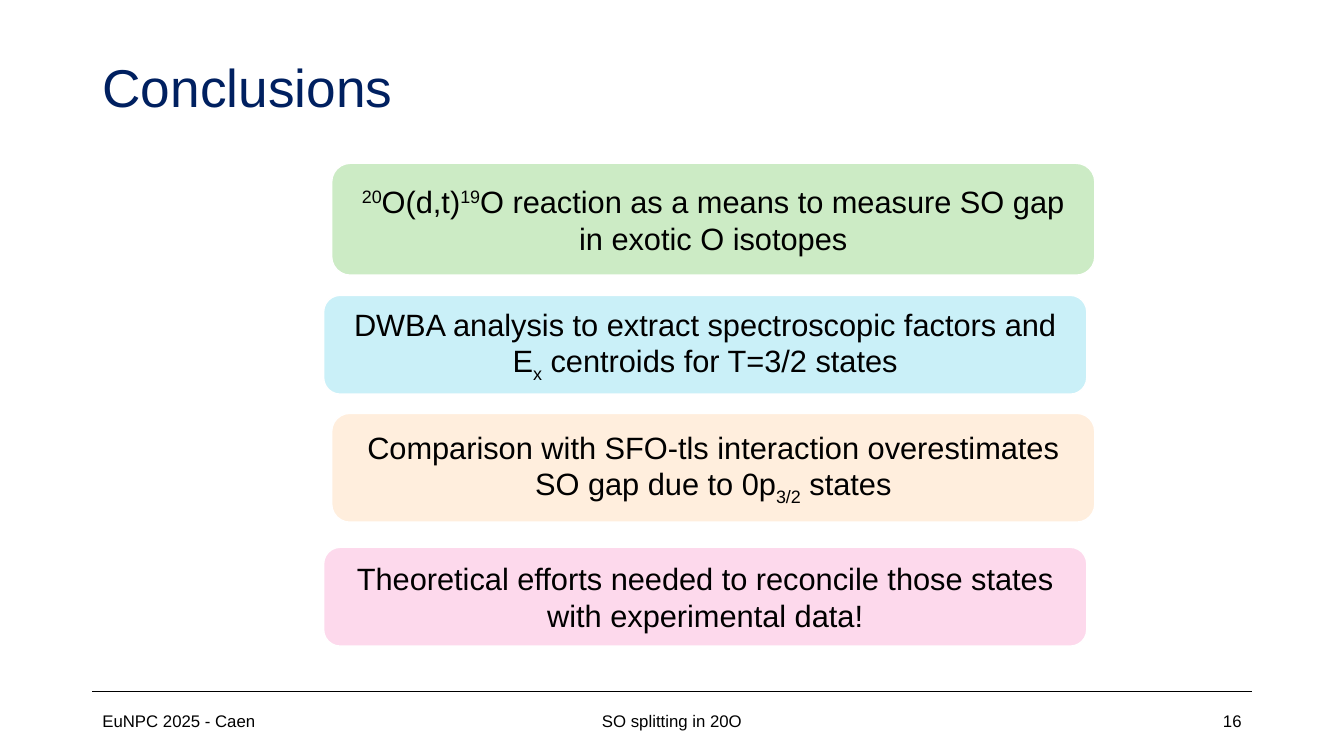
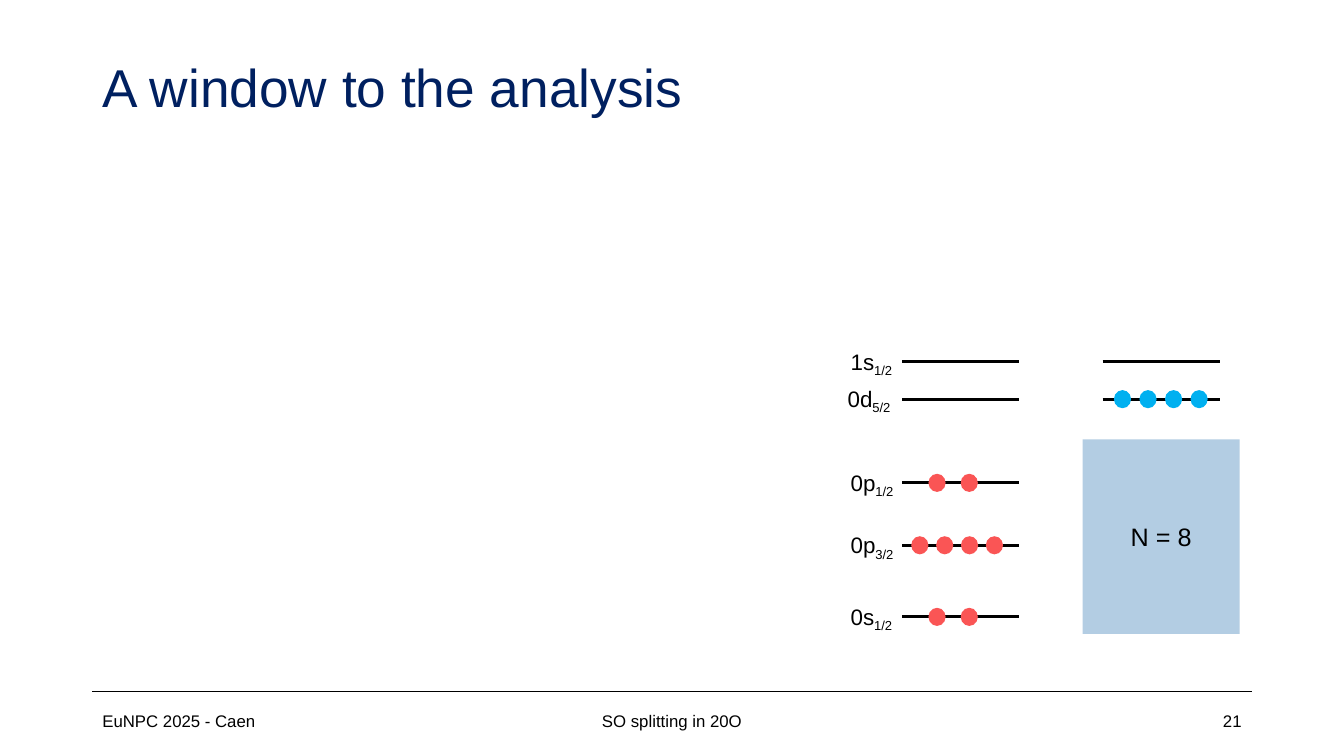
"""Build two slides on spin-orbit splitting: the conclusions and a shell-level scheme."""
from typing import NamedTuple

from lxml.etree import SubElement
from pptx import Presentation
from pptx.dml.color import RGBColor
from pptx.enum.shapes import MSO_CONNECTOR, MSO_SHAPE
from pptx.enum.text import MSO_ANCHOR, MSO_AUTO_SIZE, PP_ALIGN
from pptx.oxml.ns import qn
from pptx.util import Inches, Pt

WIDE, HIGH = Inches(13.333), Inches(7.5)
FONT = "Arial"
BLACK, WHITE, NAVY = "000000", "FFFFFF", "002060"
RED, BLUE, PALE = "FA5555", "00B0F0", "B3CDE3"
LEFT, SPAN = 6.88, 86.25
SUPER, SUB = 30, -25
DOT_W, DOT_H = 1.28, 2.4


class Box(NamedTuple):
    """Left, top, width and height in percent of the slide."""
    x: float
    y: float
    w: float
    h: float


class Card(NamedTuple):
    text: str
    box: Box
    fill: str
    base: int = SUB


class Level(NamedTuple):
    """A level line with its label and its evenly spaced dots."""
    name: str
    x: float
    y: float
    count: int = 0
    first: float = 0
    step: float = 0
    fill: str = RED
    shift: float = 0


class Note(NamedTuple):
    text: str
    x: float
    w: float
    align: PP_ALIGN


CARDS = [
    Card("|20|O(d,t)|19|O reaction as a means to measure SO gap in exotic O isotopes",
         Box(24.68, 21.6, 56.78, 14.8), "CCEBC5", SUPER),
    Card("DWBA analysis to extract spectroscopic factors and E|x| centroids for T=3/2 states",
         Box(24.08, 39.07, 56.78, 13.07), "CAF0F8"),
    Card("Comparison with SFO-tls interaction overestimates SO gap due to 0p|3/2| states",
         Box(24.68, 54.67, 56.78, 14.4), "FFEEDD"),
    Card("Theoretical efforts needed to reconcile those states with experimental data!",
         Box(24.08, 72.4, 56.78, 13.07), "FDD9EC"),
]

PROTON, NEUTRON = 67.13, 82.05
LEVELS = [
    Level("1s|1/2|", PROTON, 47.87),
    Level("0d|5/2|", PROTON, 52.8, shift=-0.22),
    Level("0p|1/2|", PROTON, 63.87, 2, 69.08, 2.4),
    Level("0p|3/2|", PROTON, 72.13, 4, 67.8, 1.85),
    Level("0s|1/2|", PROTON, 81.6, 2, 69.08, 2.4),
    Level("", NEUTRON, 47.87),
    Level("", NEUTRON, 52.8, 4, 82.88, 1.9, BLUE),
]


def tint(code: str) -> RGBColor:
    """Turn a hex string into a colour."""
    return RGBColor.from_string(code)


def place(box: Box) -> tuple[int, int, int, int]:
    """Turn shares of the slide into lengths."""
    return (round(box.x * WIDE / 100), round(box.y * HIGH / 100),
            round(box.w * WIDE / 100), round(box.h * HIGH / 100))


def write(frame, text: str, *, size: float, color: str = BLACK, base: int = SUB,
          align: PP_ALIGN = PP_ALIGN.LEFT, anchor: MSO_ANCHOR = MSO_ANCHOR.MIDDLE,
          space: float = 1.0) -> None:
    """Fill a frame; parts between bars are raised or lowered by base percent."""
    frame.word_wrap = True
    frame.auto_size = MSO_AUTO_SIZE.NONE
    frame.vertical_anchor = anchor
    para = frame.paragraphs[0]
    para.alignment = align
    para.line_spacing = space
    for index, part in enumerate(text.split("|")):
        if not part:
            continue
        run = para.add_run()
        run.text = part
        run.font.name = FONT
        run.font.size = Pt(size)
        run.font.color.rgb = tint(color)
        if index % 2:
            run.font._element.set("baseline", str(base * 1000))


def label(slide, text: str, box: Box, **style) -> None:
    """Add a text box."""
    write(slide.shapes.add_textbox(*place(box)).text_frame, text, **style)


def shape(slide, kind: MSO_SHAPE, box: Box, fill: str, edge: str = ""):
    """Add a flat filled shape with an optional edge."""
    item = slide.shapes.add_shape(kind, *place(box))
    item.shadow.inherit = False
    item.fill.solid()
    item.fill.fore_color.rgb = tint(fill)
    if edge:
        item.line.color.rgb = tint(edge)
        item.line.width = Pt(1)
    else:
        item.line.fill.background()
    return item


def rule(slide, x: float, y: float, w: float, width: float) -> None:
    """Add a level black line."""
    left, top, span, _ = place(Box(x, y, w, 0))
    line = slide.shapes.add_connector(MSO_CONNECTOR.STRAIGHT, left, top, left + span, top)
    line.line.color.rgb = tint(BLACK)
    line.line.width = Pt(width)
    SubElement(line._element.spPr, qn("a:effectLst"))


def start(deck, title: str, number: int):
    """Add a slide with its title, footer rule and footer notes."""
    slide = deck.slides.add_slide(deck.slide_layouts[5])
    head = slide.shapes.title
    head.left, head.top, head.width, head.height = place(Box(LEFT, 4.8, SPAN, 14.4))
    write(head.text_frame, title, size=38, color=NAVY, space=0.9)
    rule(slide, LEFT, 91.47, SPAN, 1)
    notes = [
        Note("EuNPC 2025 - Caen", LEFT, 22.5, PP_ALIGN.LEFT),
        Note("SO splitting in 20O", 33.13, 33.75, PP_ALIGN.CENTER),
        Note(str(number), 70.63, 22.5, PP_ALIGN.RIGHT),
    ]
    for note in notes:
        label(slide, note.text, Box(note.x, 92.67, note.w, 5.33), size=12, align=note.align)
    return slide


def draw_card(slide, card: Card) -> None:
    """Draw one conclusion."""
    item = shape(slide, MSO_SHAPE.FLOWCHART_ALTERNATE_PROCESS, card.box, card.fill, WHITE)
    write(item.text_frame, card.text, size=22, base=card.base, align=PP_ALIGN.CENTER)


def draw_level(slide, level: Level) -> None:
    """Draw one level with its label and dots."""
    rule(slide, level.x, level.y, 8.7, 2)
    if level.name:
        spot = Box(62.55 + level.shift, level.y - 2.53, 5.63, 4.93)
        label(slide, level.name, spot, size=16, anchor=MSO_ANCHOR.TOP)
    for index in range(level.count):
        spot = Box(level.first + index * level.step, level.y - DOT_H / 2, DOT_W, DOT_H)
        shape(slide, MSO_SHAPE.OVAL, spot, level.fill)


def main() -> None:
    """Build and save the deck."""
    deck = Presentation()
    deck.slide_width, deck.slide_height = WIDE, HIGH

    slide = start(deck, "Conclusions", 16)
    for card in CARDS:
        draw_card(slide, card)

    slide = start(deck, "A window to the analysis", 21)
    core = shape(slide, MSO_SHAPE.RECTANGLE, Box(80.55, 58.13, 11.7, 25.73), PALE)
    write(core.text_frame, "N = 8", size=18, align=PP_ALIGN.CENTER)
    for level in LEVELS:
        draw_level(slide, level)

    deck.save("out.pptx")


if __name__ == "__main__":
    main()
